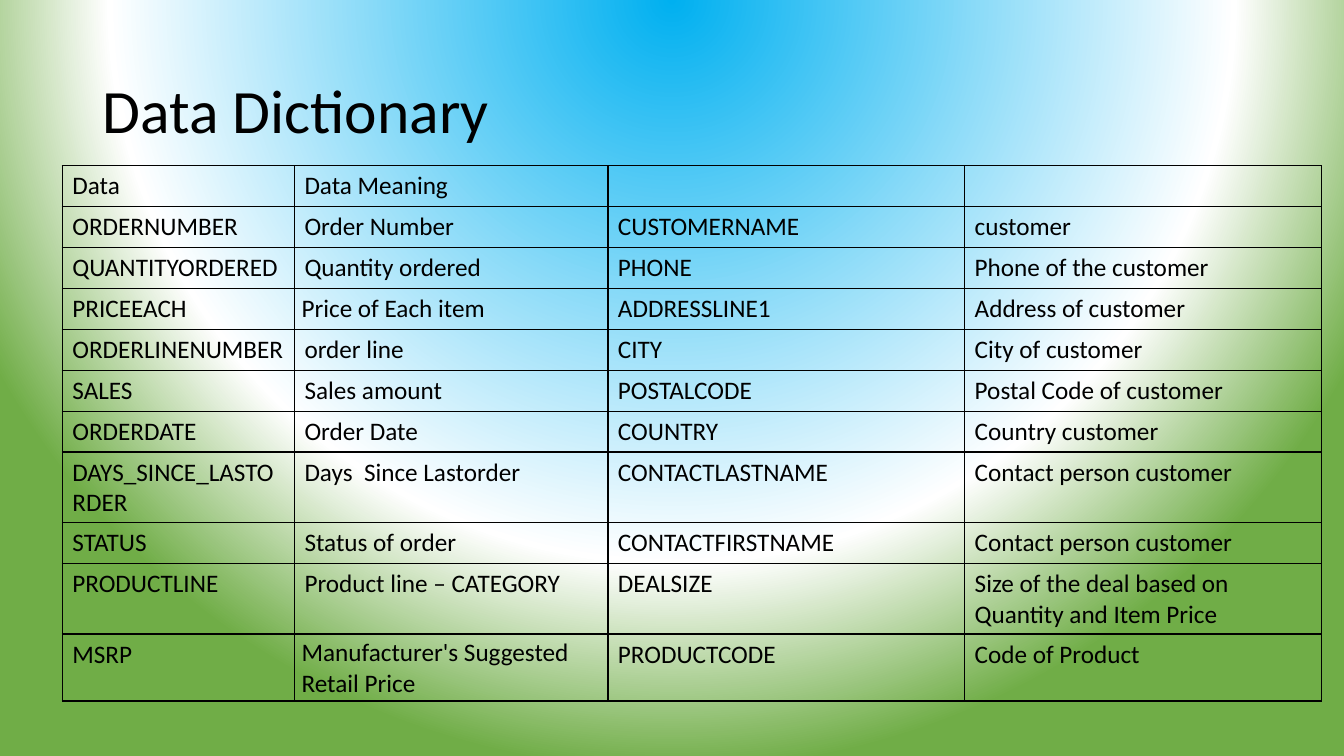
import lxml.etree
import pptx
import pptx.dml.color
import pptx.enum.text
import pptx.oxml
import pptx.oxml.ns
import pptx.util
from pptx.util import Cm

BLACK = pptx.dml.color.RGBColor(0x00, 0x00, 0x00)
SKY_BLUE = pptx.dml.color.RGBColor(0x00, 0xB0, 0xF0)
WHITE = pptx.dml.color.RGBColor(0xFF, 0xFF, 0xFF)
GREEN = pptx.dml.color.RGBColor(0x70, 0xAD, 0x47)
FONT_NAME = "Calibri"
NAMESPACE = pptx.oxml.ns.nsdecls("a")

COLUMN_WIDTHS = (5.85, 7.9, 8.99, 8.99)
ROW_HEIGHT = 1.03
DICTIONARY_ROWS = (
    ("Data", "Data Meaning", "", ""),
    ("ORDERNUMBER", "Order Number", "CUSTOMERNAME", "customer"),
    ("QUANTITYORDERED", "Quantity ordered", "PHONE", "Phone of the customer"),
    ("PRICEEACH", "Price of Each item", "ADDRESSLINE1", "Address of customer"),
    ("ORDERLINENUMBER", "order line", "CITY", "City of customer"),
    ("SALES", "Sales amount", "POSTALCODE", "Postal Code of customer"),
    ("ORDERDATE", "Order Date", "COUNTRY", "Country customer"),
    ("DAYS_SINCE_LASTORDER", "Days  Since Lastorder", "CONTACTLASTNAME", "Contact person customer"),
    ("STATUS", "Status of order", "CONTACTFIRSTNAME", "Contact person customer"),
    ("PRODUCTLINE", "Product line – CATEGORY", "DEALSIZE",
     "Size of the deal based on Quantity and Item Price"),
    ("MSRP", "Manufacturer's Suggested Retail Price", "PRODUCTCODE", "Code of Product"),
)
COMPACT_CELLS = {(3, 1), (10, 1)}


def format_text(text_frame, size):
    for paragraph in text_frame.paragraphs:
        paragraph.font.size = pptx.util.Pt(size)
        for run in paragraph.runs:
            run.font.name = FONT_NAME
            run.font.size = pptx.util.Pt(size)
            run.font.color.rgb = BLACK


def paint_background(slide):
    slide.background.fill.solid()
    stops = "".join(
        f'<a:gs pos="{percent * 1000}"><a:srgbClr val="{color}"/></a:gs>'
        for percent, color in ((0, SKY_BLUE), (73, WHITE), (100, GREEN))
    )
    gradient = pptx.oxml.parse_xml(
        f'<a:gradFill {NAMESPACE} rotWithShape="1"><a:gsLst>{stops}</a:gsLst>'
        '<a:path path="circle"><a:fillToRect l="50000" t="-80000" r="50000" b="180000"/></a:path>'
        "</a:gradFill>"
    )
    properties = slide.element.find(".//" + pptx.oxml.ns.qn("p:bgPr"))
    properties.replace(properties[0], gradient)


def add_title(slide, left, top, width, height):
    text_frame = slide.shapes.add_textbox(left, top, width, height).text_frame
    text_frame.word_wrap = True
    text_frame.vertical_anchor = pptx.enum.text.MSO_ANCHOR.MIDDLE
    text_frame.text = "Data Dictionary"
    text_frame.paragraphs[0].line_spacing = 0.9
    format_text(text_frame, 44)


def add_borders(cell):
    properties = cell._tc.get_or_add_tcPr()
    for index, side in enumerate(("lnL", "lnR", "lnT", "lnB")):
        properties.insert(index, pptx.oxml.parse_xml(
            f'<a:{side} {NAMESPACE} w="{pptx.util.Pt(1)}"><a:solidFill>'
            f'<a:srgbClr val="{BLACK}"/></a:solidFill></a:{side}>'
        ))


def add_dictionary_table(slide, left, top, width, height):
    table = slide.shapes.add_table(
        len(DICTIONARY_ROWS), len(COLUMN_WIDTHS), left, top, width, height
    ).table
    table.first_row = False
    table.horz_banding = False
    for column, column_width in zip(table.columns, COLUMN_WIDTHS):
        column.width = Cm(column_width)
    for row_index, entries in enumerate(DICTIONARY_ROWS):
        table.rows[row_index].height = Cm(ROW_HEIGHT)
        for column_index, entry in enumerate(entries):
            cell = table.cell(row_index, column_index)
            cell.text_frame.text = entry
            format_text(cell.text_frame, 18)
            cell.fill.background()
            add_borders(cell)
            if (row_index, column_index) in COMPACT_CELLS:
                cell.vertical_anchor = pptx.enum.text.MSO_ANCHOR.MIDDLE
                cell.margin_left = cell.margin_right = Cm(0.18)
                cell.margin_top = cell.margin_bottom = Cm(0.08)


def main():
    presentation = pptx.Presentation()
    presentation.slide_width = Cm(33.87)
    presentation.slide_height = Cm(19.05)
    slide = presentation.slides.add_slide(presentation.slide_layouts[6])
    paint_background(slide)
    add_title(slide, Cm(2.33), Cm(1.01), Cm(29.21), Cm(3.68))
    add_dictionary_table(
        slide, Cm(1.57), Cm(4.18), Cm(sum(COLUMN_WIDTHS)), Cm(ROW_HEIGHT * len(DICTIONARY_ROWS))
    )
    presentation.save("out.pptx")


if __name__ == "__main__":
    main()
